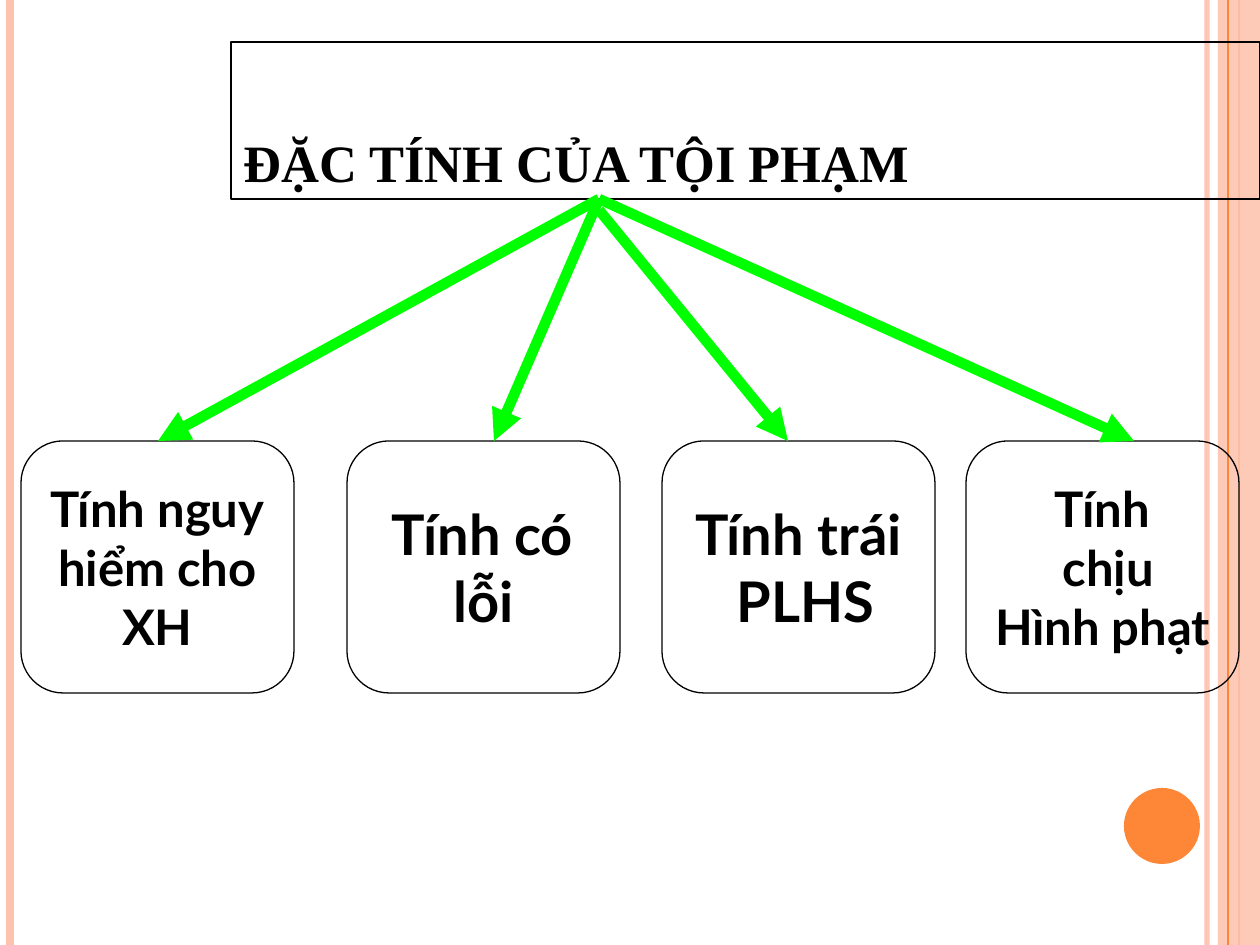
from dataclasses import dataclass

from lxml import etree
from pptx import Presentation
from pptx.dml.color import RGBColor
from pptx.enum.shapes import MSO_CONNECTOR, MSO_SHAPE
from pptx.enum.text import MSO_ANCHOR, MSO_AUTO_SIZE, PP_ALIGN
from pptx.oxml.ns import qn
from pptx.util import Pt

STRAIGHT = MSO_CONNECTOR.STRAIGHT
RECTANGLE = MSO_SHAPE.RECTANGLE
ROUNDED = MSO_SHAPE.ROUNDED_RECTANGLE
OVAL = MSO_SHAPE.OVAL
MIDDLE = MSO_ANCHOR.MIDDLE
BOTTOM = MSO_ANCHOR.BOTTOM
NO_AUTOFIT = MSO_AUTO_SIZE.NONE
CENTER = PP_ALIGN.CENTER
LEFT = PP_ALIGN.LEFT
TITLE_ONLY = 5
EMU_PER_PX = 914400 / 126
WIDTH, HEIGHT = 1260, 945


@dataclass(frozen=True)
class Theme:
    ink: RGBColor = RGBColor(0, 0, 0)
    arrow: RGBColor = RGBColor(0x00, 0xFF, 0x00)
    accent: RGBColor = RGBColor(0xFE, 0x86, 0x37)
    pale: RGBColor = RGBColor(0xFE, 0xC3, 0xAE)
    title_font: str = "Times New Roman"
    body_font: str = "Lato"
    title_size: int = 30
    short_size: int = 32
    long_size: int = 28
    outline: float = 0.75
    arrow_width: int = 6


THEME = Theme()
BOX_TOP, BOX_WIDTH, BOX_HEIGHT = 441, 273, 252
TRAITS = [
    (21, " Tính nguy \n hiểm cho \nXH", THEME.long_size),
    (347, " Tính có \nlỗi", THEME.short_size),
    (662, "Tính trái\n PLHS", THEME.short_size),
    (966, "Tính\n chịu\nHình phạt", THEME.long_size),
]
ARROWS = [(199, 158), (199, 494), (199, 1134), (210, 788)]
ARROW_START_X = 599


def px(value):
    return round(value * EMU_PER_PX)


def set_opacity(color_format_parent, percent):
    color = color_format_parent.find(".//" + qn("a:srgbClr"))
    etree.SubElement(color, qn("a:alpha"), val=str(percent * 1000))


def add_line(slide, start, end, color, width):
    line = slide.shapes.add_connector(STRAIGHT, *map(px, start + end))
    line.line.color.rgb = color
    line.line.width = Pt(width)
    etree.SubElement(line._element.spPr, qn("a:effectLst"))
    return line


def add_plain_shape(slide, kind, x, y, width, height, fill=None):
    shape = slide.shapes.add_shape(kind, px(x), px(y), px(width), px(height))
    shape.shadow.inherit = False
    if fill is None:
        shape.fill.background()
    else:
        shape.fill.solid()
        shape.fill.fore_color.rgb = fill
    shape.line.fill.background()
    return shape


def outline(shape):
    shape.line.color.rgb = THEME.ink
    shape.line.width = Pt(THEME.outline)


def write_text(shape, text, font, size, align, anchor, wrap):
    frame = shape.text_frame
    frame.text = text
    frame.word_wrap = wrap
    frame.auto_size = NO_AUTOFIT
    frame.vertical_anchor = anchor
    for paragraph in frame.paragraphs:
        paragraph.alignment = align
        for run in paragraph.runs:
            run.font.name = font
            run.font.size = Pt(size)
            run.font.bold = True
            run.font.color.rgb = THEME.ink


def add_edge_decoration(slide):
    def stripe(x, color, width):
        return add_line(slide, (x, 0), (x, HEIGHT), color, width)

    inner_stripe = stripe(1207, THEME.pale, 3)
    set_opacity(inner_stripe._element, 93)
    stripe(10, THEME.pale, 4.5)
    stripe(1239, THEME.accent, 1.5)
    band = add_plain_shape(slide, RECTANGLE, 1218, 0, 42, HEIGHT, THEME.pale)
    set_opacity(band._element.spPr, 87)
    stripe(1228, THEME.accent, 0.75)
    add_plain_shape(slide, OVAL, 1124, 788, 76, 76, THEME.accent)


def place_title(slide, text):
    title = slide.shapes.title
    title.left, title.top, title.width, title.height = map(px, (231, 42, 1029, 157))
    outline(title)
    write_text(title, text, THEME.title_font, THEME.title_size, LEFT, BOTTOM, True)
    slide.shapes._spTree.append(title._element)


def add_trait(slide, x, text, size):
    trait = add_plain_shape(slide, ROUNDED, x, BOX_TOP, BOX_WIDTH, BOX_HEIGHT)
    outline(trait)
    write_text(trait, text, THEME.body_font, size, CENTER, MIDDLE, False)


def add_arrow(slide, start_y, end_x):
    arrow = add_line(slide, (ARROW_START_X, start_y), (end_x, BOX_TOP),
                     THEME.arrow, THEME.arrow_width)
    etree.SubElement(arrow.line._get_or_add_ln(), qn("a:tailEnd"), type="triangle")


def main():
    presentation = Presentation()
    presentation.slide_width = px(WIDTH)
    presentation.slide_height = px(HEIGHT)
    slide = presentation.slides.add_slide(presentation.slide_layouts[TITLE_ONLY])
    add_edge_decoration(slide)
    place_title(slide, "ĐẶC TÍNH CỦA TỘI PHẠM")
    for x, text, size in TRAITS:
        add_trait(slide, x, text, size)
    for start_y, end_x in ARROWS:
        add_arrow(slide, start_y, end_x)
    presentation.save("out.pptx")


if __name__ == "__main__":
    main()
